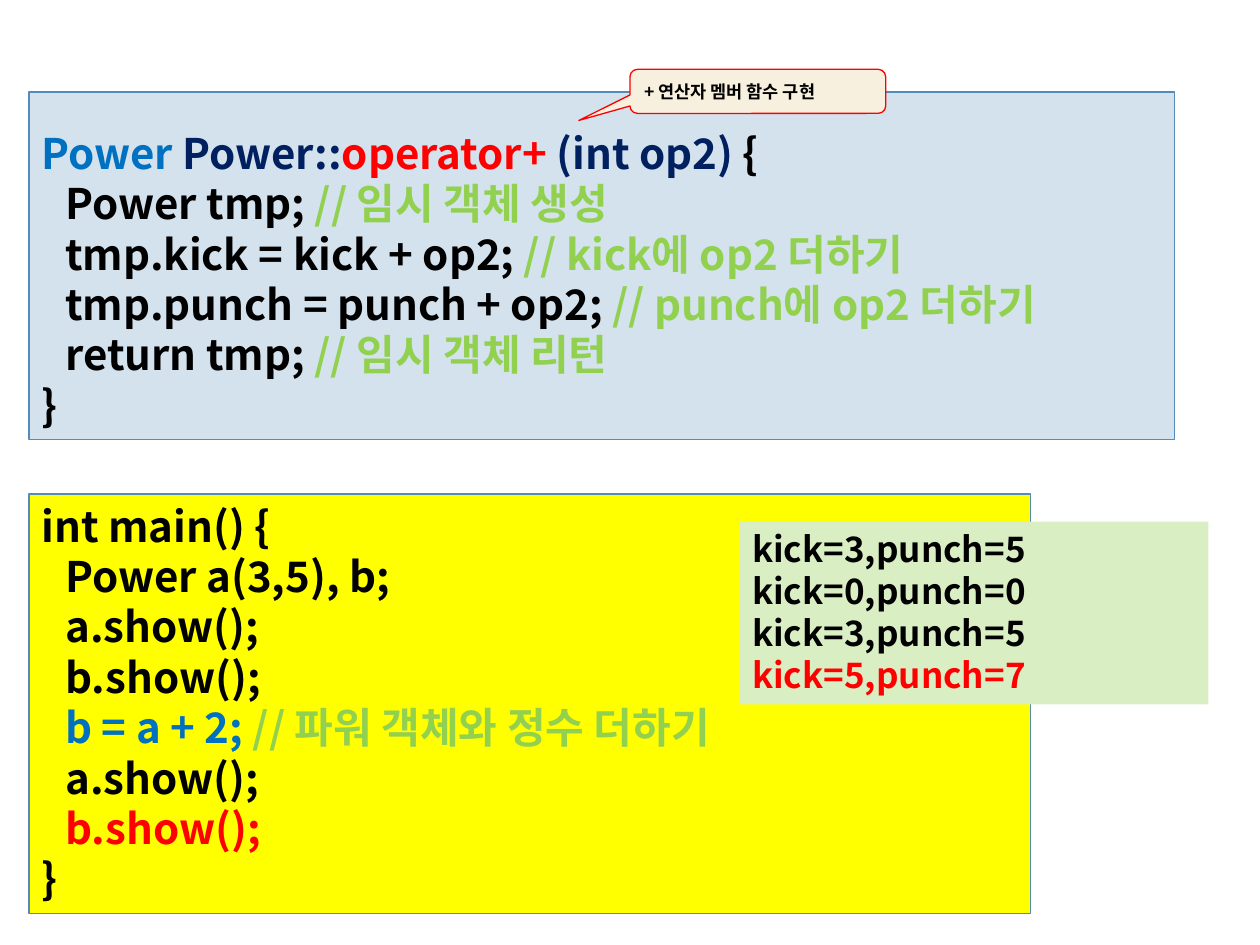
from dataclasses import dataclass

from lxml import etree
from pptx import Presentation
from pptx.dml.color import RGBColor
from pptx.enum.shapes import MSO_SHAPE as SHAPE
from pptx.enum.text import MSO_ANCHOR as ANCHOR, PP_ALIGN as ALIGN
from pptx.oxml.ns import qn
from pptx.util import Inches, Pt


@dataclass(frozen=True)
class Theme:
    font: str = "Noto Sans CJK KR"
    code: int = 24
    output: int = 20
    note: int = 10
    black: str = "000000"
    red: str = "FF0000"
    blue: str = "0070C0"
    navy: str = "002060"
    green: str = "92D050"
    border: str = "558BB8"
    code_fill: str = "D4E2ED"
    main_fill: str = "FFFF00"
    output_fill: str = "DAEEC4"
    note_fill: str = "F7F0DE"


T = Theme()
TAB = Inches(0.19)
LINE_RATIO = 1.2


def add_panel(s, kind, box, fill, line, anchor=ANCHOR.TOP):
    sp = s.shapes.add_shape(kind, *(Inches(v) for v in box))
    sp.shadow.inherit = False
    sp.fill.solid()
    sp.fill.fore_color.rgb = RGBColor.from_string(fill)
    if line:
        sp.line.color.rgb = RGBColor.from_string(line)
        sp.line.width = Pt(0.75)
    else:
        sp.line.fill.background()
    sp.text_frame.word_wrap = True
    sp.text_frame.vertical_anchor = anchor
    return sp


def write_lines(sp, lines, size):
    """Fill the shape with lines, each a list of (text, colour) runs."""
    tf = sp.text_frame
    for i, line in enumerate(lines):
        p = tf.add_paragraph() if i else tf.paragraphs[0]
        p.alignment = ALIGN.LEFT
        p.line_spacing = Pt(size * LINE_RATIO)
        if line[0][0].startswith("\t"):
            tabs = etree.SubElement(p._p.get_or_add_pPr(), qn("a:tabLst"))
            etree.SubElement(tabs, qn("a:tab"), pos=str(TAB), algn="l")
        for text, color in line:
            r = p.add_run()
            r.text = text
            for name, value in {"name": T.font, "size": Pt(size), "bold": True}.items():
                setattr(r.font, name, value)
            r.font.color.rgb = RGBColor.from_string(color)
            etree.SubElement(r._r.get_or_add_rPr(), qn("a:ea"), typeface=T.font)


prs = Presentation()
prs.slide_width, prs.slide_height = Inches(10), Inches(7.5)
s = prs.slides.add_slide(prs.slide_layouts[6])

# Operator definition
operator_code = add_panel(s, SHAPE.RECTANGLE, (0.23, 0.73, 9.09, 2.76), T.code_fill, T.border)
operator_code.text_frame.margin_top = Inches(0.28)
write_lines(operator_code, [
    [("Power ", T.blue), ("Power::", T.navy), ("operator+ ", T.red),
     ("(int op2) ", T.navy), ("{", T.black)],
    [("\tPower tmp; ", T.black), ("// 임시 객체 생성", T.green)],
    [("\ttmp.kick = kick + op2; ", T.black), ("// kick에 op2 더하기", T.green)],
    [("\ttmp.punch = punch + op2; ", T.black), ("// punch에 op2 더하기", T.green)],
    [("\treturn tmp; ", T.black), ("// 임시 객체 리턴", T.green)],
    [("}", T.black)],
], T.code)

# Main program
main_code = add_panel(s, SHAPE.RECTANGLE, (0.23, 3.92, 7.95, 3.33), T.main_fill, T.border)
write_lines(main_code, [
    [("int main() {", T.black)],
    [("\tPower a(3,5), b;", T.black)],
    [("\ta.show();", T.black)],
    [("\tb.show();", T.black)],
    [("\tb = a + 2; ", T.blue), ("// 파워 객체와 정수 더하기", T.green)],
    [("\ta.show();", T.black)],
    [("\tb.show();", T.red)],
    [("}", T.black)],
], T.code)

# Program output
output = add_panel(s, SHAPE.RECTANGLE, (5.87, 4.14, 3.72, 1.45), T.output_fill, None)
write_lines(output, [
    [("kick=3,punch=5", T.black)],
    [("kick=0,punch=0", T.black)],
    [("kick=3,punch=5", T.black)],
    [("kick=5,punch=7", T.red)],
], T.output)

# Callout on the operator
note = add_panel(s, SHAPE.ROUNDED_RECTANGULAR_CALLOUT, (5, 0.55, 2.03, 0.35),
                 T.note_fill, T.red, ANCHOR.MIDDLE)
for i, value in enumerate((-0.7, 0.66, 0.17)):
    note.adjustments[i] = value
write_lines(note, [[("+ 연산자 멤버 함수 구현", T.black)]], T.note)

prs.save("out.pptx")
